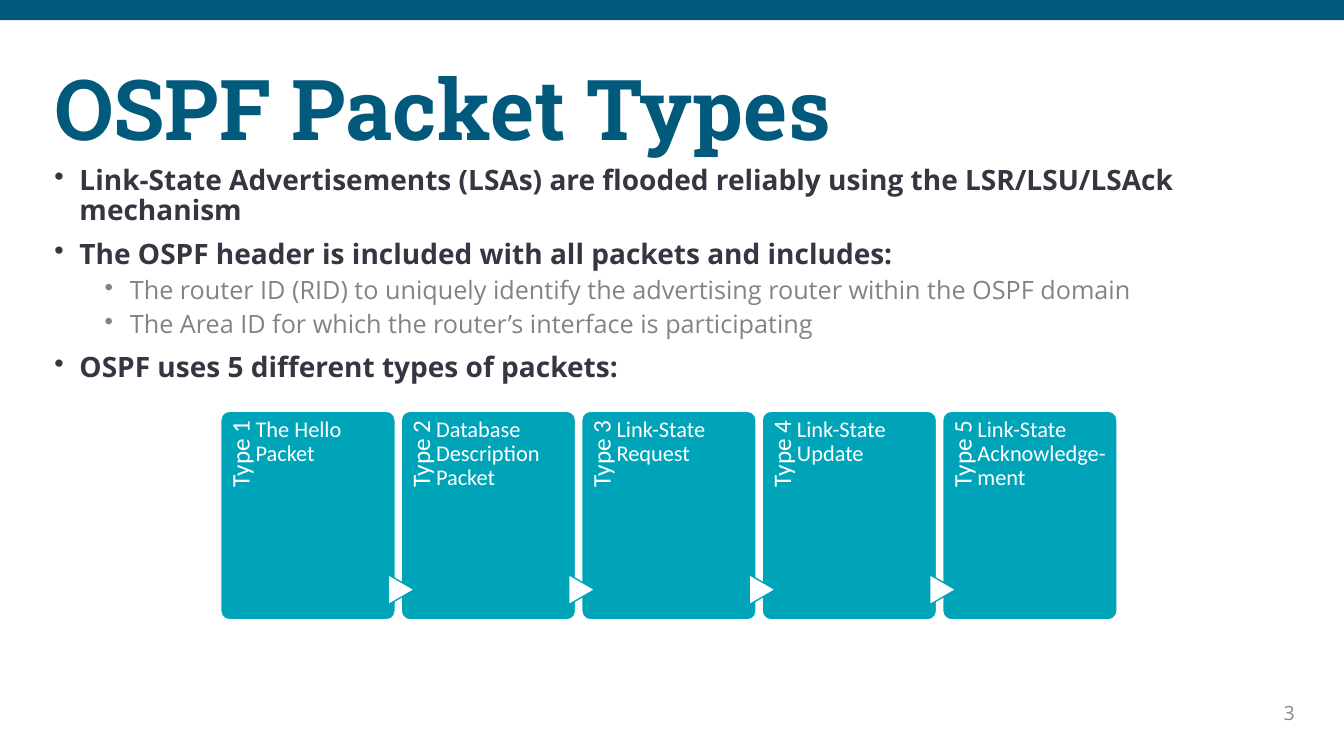
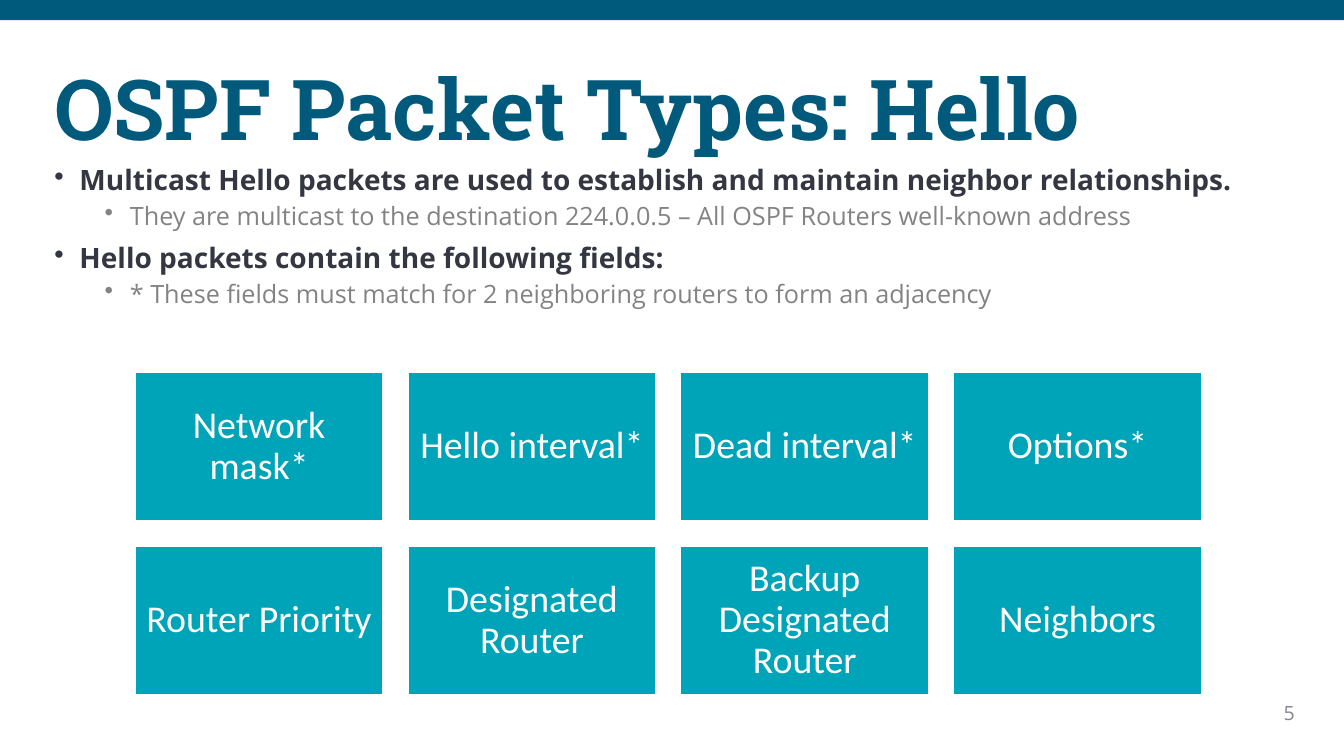
"""Build two slides about OSPF packet types."""
import pptx
import pptx.dml.color
import pptx.enum.shapes
import pptx.enum.text
import pptx.oxml.ns
import pptx.util
from lxml import etree

Inches = pptx.util.Inches
Pt = pptx.util.Pt
SHAPE = pptx.enum.shapes.MSO_SHAPE
ALIGN = pptx.enum.text.PP_ALIGN
ANCHOR = pptx.enum.text.MSO_ANCHOR

WIDTH, HEIGHT = 13.33, 7.5
BAND, TITLE, TEAL, WHITE = "005A7C", "015A7C", "00A4B8", "FFFFFF"
NUMBER_GREY = "858891"
HEAD_FONT, BODY_FONT, BOX_FONT = "Roboto Slab", "Open Sans", "Calibri"
DEFAULT_INSETS = (0.1, 0.05, 0.1, 0.05)
LEVELS = [
    {"indent": 0.25, "before": 10, "size": 20, "color": "343741", "bold": True},
    {"indent": 0.75, "before": 5, "size": 18, "color": "838383", "bold": False},
]

PACKETS = {
    "title": "OSPF Packet Types",
    "number": "3",
    "bullets": [
        (0, "Link-State Advertisements (LSAs) are flooded reliably using the LSR/LSU/LSAck mechanism"),
        (0, "The OSPF header is included with all packets and includes:"),
        (1, "The router ID (RID) to uniquely identify the advertising router within the OSPF domain"),
        (1, "The Area ID for which the router’s interface is participating"),
        (0, "OSPF uses 5 different types of packets:"),
    ],
    "cards": [
        "The Hello Packet",
        "Database Description Packet",
        "Link-State Request",
        "Link-State Update",
        "Link-State Acknowledge-ment",
    ],
}
HELLO = {
    "title": "OSPF Packet Types: Hello",
    "number": "5",
    "bullets": [
        (0, "Multicast Hello packets are used to establish and maintain neighbor relationships."),
        (1, "They are multicast to the destination 224.0.0.5 – All OSPF Routers well-known address"),
        (0, "Hello packets contain the following fields:"),
        (1, "* These fields must match for 2 neighboring routers to form an adjacency"),
    ],
    "fields": [
        ["Network mask*", "Hello interval*", "Dead interval*", "Options*"],
        ["Router Priority", "Designated Router", "Backup Designated Router", "Neighbors"],
    ],
}


def rgb(color):
    """Turn a hex string into a colour."""
    return pptx.dml.color.RGBColor.from_string(color)


def set_font(paragraph, name, size, color, bold=False):
    """Style a whole paragraph."""
    font = paragraph.font
    font.name, font.size, font.bold = name, Pt(size), bold
    font.color.rgb = rgb(color)


def set_frame(shape, insets=DEFAULT_INSETS, anchor=ANCHOR.TOP):
    """Wrap the text of a shape and set its margins and anchor."""
    frame = shape.text_frame
    frame.word_wrap, frame.vertical_anchor = True, anchor
    (frame.margin_left, frame.margin_top,
     frame.margin_right, frame.margin_bottom) = map(Inches, insets)
    return frame


def write(shape, text, name, size, color, bold=False, align=ALIGN.LEFT,
          spacing=0.9, **frame_options):
    """Write one paragraph into a shape."""
    paragraph = set_frame(shape, **frame_options).paragraphs[0]
    paragraph.text, paragraph.alignment = text, align
    paragraph.line_spacing = spacing
    set_font(paragraph, name, size, color, bold)


def add_box(slide, *place):
    """Add a text box placed in inches."""
    return slide.shapes.add_textbox(*map(Inches, place))


def add_block(slide, kind, place, fill, line=None):
    """Add a flat filled shape placed in inches."""
    shape = slide.shapes.add_shape(kind, *map(Inches, place))
    shape.shadow.inherit = False
    shape.fill.solid()
    shape.fill.fore_color.rgb = rgb(fill)
    if line:
        shape.line.color.rgb = rgb(line)
        shape.line.width = Pt(1)
    else:
        shape.line.fill.background()
    return shape


def add_bullets(slide, bullets):
    """Add the bulleted body text."""
    frame = set_frame(add_box(slide, 0.44, 1.6, 12.36, 2.39))
    for index, (level, text) in enumerate(bullets):
        style = LEVELS[level]
        paragraph = frame.add_paragraph() if index else frame.paragraphs[0]
        paragraph.text, paragraph.level = text, level
        properties = paragraph._p.get_or_add_pPr()
        properties.set("marL", str(Inches(style["indent"])))
        properties.set("indent", str(Inches(-0.25)))
        etree.SubElement(properties, pptx.oxml.ns.qn("a:buChar"), char="•")
        paragraph.line_spacing = 0.9
        paragraph.space_before = Pt(style["before"] if index else 0)
        set_font(paragraph, BODY_FONT, style["size"], style["color"], style["bold"])


def add_base(presentation, content):
    """Add a slide with band, number, title and bullets."""
    slide = presentation.slides.add_slide(presentation.slide_layouts[6])
    add_block(slide, SHAPE.RECTANGLE, (0, 0, WIDTH, 0.2), BAND)
    write(add_box(slide, 12.3, 6.9, 0.64, 0.34), content["number"],
          BODY_FONT, 14, NUMBER_GREY, align=ALIGN.RIGHT, spacing=1.0)
    write(add_box(slide, 0.44, 0.4, 12.73, 1.45), content["title"],
          HEAD_FONT, 60, TITLE, bold=True, anchor=ANCHOR.MIDDLE)
    add_bullets(slide, content["bullets"])
    return slide


def add_cards(slide, cards):
    """Add the row of numbered cards joined by triangles."""
    left, top, width, height, gap = 2.19, 4.08, 1.73, 2.07, 0.06
    label_length, label_height = 1.7, 0.35
    arrow_width, arrow_height, arrow_middle = 0.3, 0.26, 5.85
    for index, text in enumerate(cards):
        x = left + index * (width + gap)
        card = add_block(slide, SHAPE.ROUNDED_RECTANGLE, (x, top, width, height), TEAL, WHITE)
        card.adjustments[0] = 0.05
        write(card, text, BOX_FONT, 16, WHITE, insets=(0.32, 0.04, 0.07, 0))
        label = add_box(slide, x + (label_height - label_length) / 2,
                        top + (label_length - label_height) / 2, label_length, label_height)
        label.rotation = 270
        write(label, f"Type {index + 1}", BOX_FONT, 18, WHITE,
              align=ALIGN.RIGHT, insets=(0, 0.07, 0.09, 0))
        if index:
            place = (x - arrow_width / 2, arrow_middle - arrow_height / 2,
                     arrow_width, arrow_height)
            add_block(slide, SHAPE.FLOWCHART_EXTRACT, place, WHITE, TEAL).rotation = 90


def add_fields(slide, rows):
    """Add the grid of header fields."""
    left, top, width, height = 1.34, 3.69, 2.46, 1.48
    gap = width / 10
    for row, names in enumerate(rows):
        for column, name in enumerate(names):
            place = (left + column * (width + gap), top + row * (height + gap), width, height)
            field = add_block(slide, SHAPE.RECTANGLE, place, TEAL, WHITE)
            write(field, name, BOX_FONT, 27, WHITE, align=ALIGN.CENTER,
                  insets=(0.11,) * 4, anchor=ANCHOR.MIDDLE)


def main():
    """Build and save the presentation."""
    presentation = pptx.Presentation()
    presentation.slide_width, presentation.slide_height = Inches(WIDTH), Inches(HEIGHT)
    add_cards(add_base(presentation, PACKETS), PACKETS["cards"])
    add_fields(add_base(presentation, HELLO), HELLO["fields"])
    presentation.save("out.pptx")


if __name__ == "__main__":
    main()
